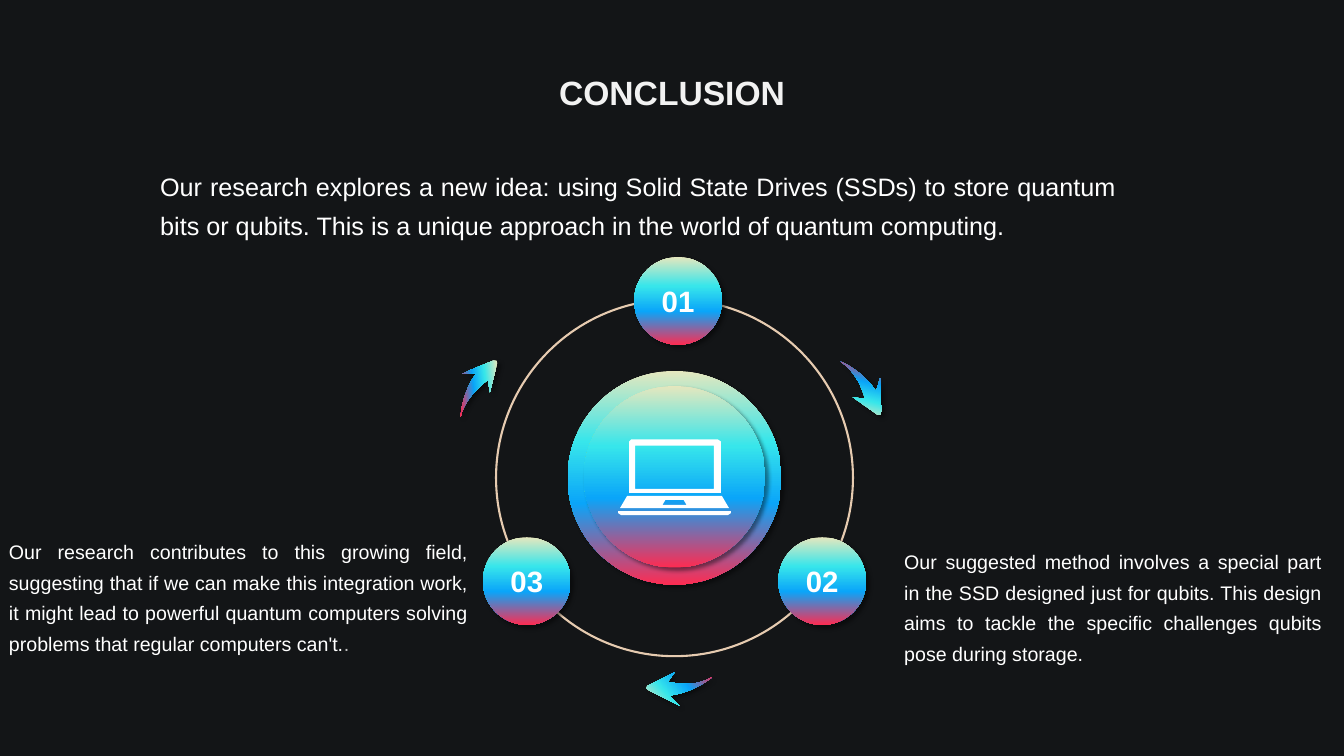
"""Build the conclusion slide: a three-step cycle around a laptop."""
from lxml import etree
from pptx import Presentation
from pptx.dml.color import RGBColor
from pptx.enum.shapes import MSO_SHAPE
from pptx.enum.text import MSO_ANCHOR, MSO_AUTO_SIZE, PP_ALIGN
from pptx.oxml.ns import qn
from pptx.util import Inches, Pt

CENTER, JUSTIFY = PP_ALIGN.CENTER, PP_ALIGN.JUSTIFY
TOP, MIDDLE = MSO_ANCHOR.TOP, MSO_ANCHOR.MIDDLE
GROW = MSO_AUTO_SIZE.SHAPE_TO_FIT_TEXT
OVAL = MSO_SHAPE.OVAL

FONT = "Arial"
BACKGROUND, WHITE, TITLE_COLOR = "131517", "FFFFFF", "F2F2F2"
DOT_COLOR, RING_COLOR = "BFBFBF", "E6CBB0"
GRADIENT = [(0, "E5E7BE"), (33, "37E6EB"), (62, "0AA5F9"), (100, "FD2C52")]

TITLE = ("CONCLUSION", (3.29, 0.58, 6.75, 0.58))
PARAGRAPHS = [
    ((1.49, 1.56, 9.68, 0.89), 18, [
        ("Our research explores a new idea: using Solid State Drives (SSDs) to store "
         "quantum bits or qubits. This is a unique approach in the world of quantum "
         "computing.", WHITE)]),
    ((8.87, 5.34, 4.34, 1.32), 14, [
        ("Our suggested method involves a special part in the SSD designed just for "
         "qubits. This design aims to tackle the specific challenges qubits pose "
         "during storage.", WHITE)]),
    ((-0.01, 5.24, 4.75, 1.32), 14, [
        ("Our research contributes to this growing field, suggesting that if we can "
         "make this integration work, it might lead to powerful quantum computers "
         "solving problems that regular computers can't.", WHITE),
        (".", DOT_COLOR)]),
]
RING = (4.92, 2.97, 3.54)
STEP_SIZE = 0.87
STEPS = [("01", 6.29, 2.55), ("03", 4.79, 5.33), ("02", 7.72, 5.33)]
HUB_DISCS = [(5.63, 3.68, 2.12), (5.79, 3.83, 1.8)]

LAPTOP = [
    [(7.16, 4.92), (6.22, 4.92), (6.15, 5.04), (7.23, 5.04)],
    [(6.57, 5.01), (6.6, 4.96), (6.78, 4.96), (6.81, 5.01)],
    [(7.15, 4.89), (7.15, 4.38), (7.12, 4.36), (6.26, 4.36), (6.24, 4.38), (6.24, 4.89)],
    [(7.08, 4.85), (6.3, 4.85), (6.3, 4.42), (7.08, 4.42)],
    [(7.25, 5.07), (6.13, 5.07), (6.13, 5.09), (6.16, 5.11), (7.22, 5.11), (7.25, 5.09)],
]
ARROWS = [
    (284, [(8.71, 4.11), (8.73, 4.11), (8.74, 4.08), (8.73, 3.75), (8.69, 3.88),
           (8.68, 3.87), (8.56, 3.69, 8.37, 3.6, 8.34, 3.59),
           (8.45, 3.66, 8.53, 3.79, 8.57, 3.92), (8.58, 3.96), (8.46, 3.94), (8.7, 4.11)]),
    (173, [(4.93, 3.6), (4.93, 3.58), (4.89, 3.58), (4.67, 3.67), (4.59, 3.71),
           (4.73, 3.7), (4.72, 3.71), (4.59, 3.89, 4.57, 4.1, 4.57, 4.13),
           (4.6, 4, 4.7, 3.88, 4.8, 3.8), (4.84, 3.77), (4.86, 3.89), (4.93, 3.61)]),
    (319, [(6.42, 6.81), (6.41, 6.83), (6.44, 6.85), (6.66, 6.96), (6.74, 7),
           (6.64, 6.9), (6.65, 6.9), (6.87, 6.87, 7.04, 6.74, 7.06, 6.72),
           (6.94, 6.79, 6.79, 6.8, 6.66, 6.77), (6.62, 6.77), (6.69, 6.67), (6.43, 6.8)]),
]
CURVE_STEPS = 8


def color(value):
    return RGBColor.from_string(value)


def add_color(parent, value):
    return etree.SubElement(parent, qn("a:srgbClr"), val=value)


def paint_gradient(shape, angle=90):
    shape.fill.gradient()
    shape.fill.gradient_angle = (360 - angle) % 360
    stops = shape.element.spPr.find(qn("a:gradFill")).find(qn("a:gsLst"))
    for stop in list(stops):
        stops.remove(stop)
    for position, value in GRADIENT:
        add_color(etree.SubElement(stops, qn("a:gs"), pos=str(position * 1000)), value)
    shape.line.fill.background()
    shape.shadow.inherit = False
    effects = shape.element.spPr.find(qn("a:effectLst"))
    shadow = etree.SubElement(effects, qn("a:outerShdw"), blurRad=str(Pt(3)),
                              dist=str(Pt(3)), dir=str(45 * 60000), rotWithShape="0")
    etree.SubElement(add_color(shadow, "000000"), qn("a:alpha"), val="43000")


def add_circle(shapes, left, top, size):
    return shapes.add_shape(OVAL, Inches(left), Inches(top), Inches(size), Inches(size))


def flatten(segments):
    points = []
    for segment in segments:
        if len(segment) == 2:
            points.append(segment)
            continue
        start, (x1, y1, x2, y2, x3, y3) = points[-1], segment
        for step in range(1, CURVE_STEPS + 1):
            t = step / CURVE_STEPS
            weights = ((1 - t) ** 3, 3 * t * (1 - t) ** 2, 3 * t * t * (1 - t), t ** 3)
            points.append(tuple(
                sum(weight * value for weight, value in zip(weights, values))
                for values in ((start[0], x1, x2, x3), (start[1], y1, y2, y3))))
    return points


def add_outline(shapes, contours):
    contours = [[(Inches(x), Inches(y)) for x, y in contour] for contour in contours]
    builder = shapes.build_freeform(*contours[0][0])
    for index, contour in enumerate(contours):
        if index:
            builder.move_to(*contour[0])
        builder.add_line_segments(contour[1:], close=True)
    return builder.convert_to_shape()


def write(shape, runs, size, bold=False, align=CENTER, spacing=1.0, anchor=TOP):
    frame = shape.text_frame
    frame.word_wrap = True
    frame.vertical_anchor = anchor
    paragraph = frame.paragraphs[0]
    paragraph.alignment = align
    paragraph.line_spacing = spacing
    for text, value in runs:
        run = paragraph.add_run()
        run.text = text
        run.font.name, run.font.size, run.font.bold = FONT, Pt(size), bold
        run.font.color.rgb = color(value)
    return frame


def main():
    presentation = Presentation()
    presentation.slide_width, presentation.slide_height = Inches(13.33), Inches(7.5)
    slide = presentation.slides.add_slide(presentation.slide_layouts[5])
    slide.background.fill.solid()
    slide.background.fill.fore_color.rgb = color(BACKGROUND)
    shapes = slide.shapes

    text, box = TITLE
    title = shapes.title
    title.left, title.top, title.width, title.height = map(Inches, box)
    write(title, [(text, TITLE_COLOR)], 24, bold=True, spacing=1.2).auto_size = GROW

    ring = add_circle(shapes, *RING)
    ring.fill.background()
    ring.line.color.rgb = color(RING_COLOR)
    ring.line.width = Pt(1.5)
    ring.shadow.inherit = False

    for label, left, top in STEPS:
        circle = add_circle(shapes, left, top, STEP_SIZE)
        paint_gradient(circle)
        frame = write(circle, [(label, WHITE)], 21, bold=True, anchor=MIDDLE)
        frame.margin_left = frame.margin_right = 0

    for disc in HUB_DISCS:
        paint_gradient(add_circle(shapes, *disc))

    laptop = add_outline(shapes, LAPTOP)
    laptop.fill.solid()
    laptop.fill.fore_color.rgb = color(WHITE)
    laptop.line.fill.background()
    laptop.shadow.inherit = False

    for angle, segments in ARROWS:
        paint_gradient(add_outline(shapes, [flatten(segments)]), angle)

    for box, size, runs in PARAGRAPHS:
        text_box = shapes.add_textbox(*map(Inches, box))
        write(text_box, runs, size, align=JUSTIFY, spacing=1.3).auto_size = GROW

    presentation.save("out.pptx")


if __name__ == "__main__":
    main()
